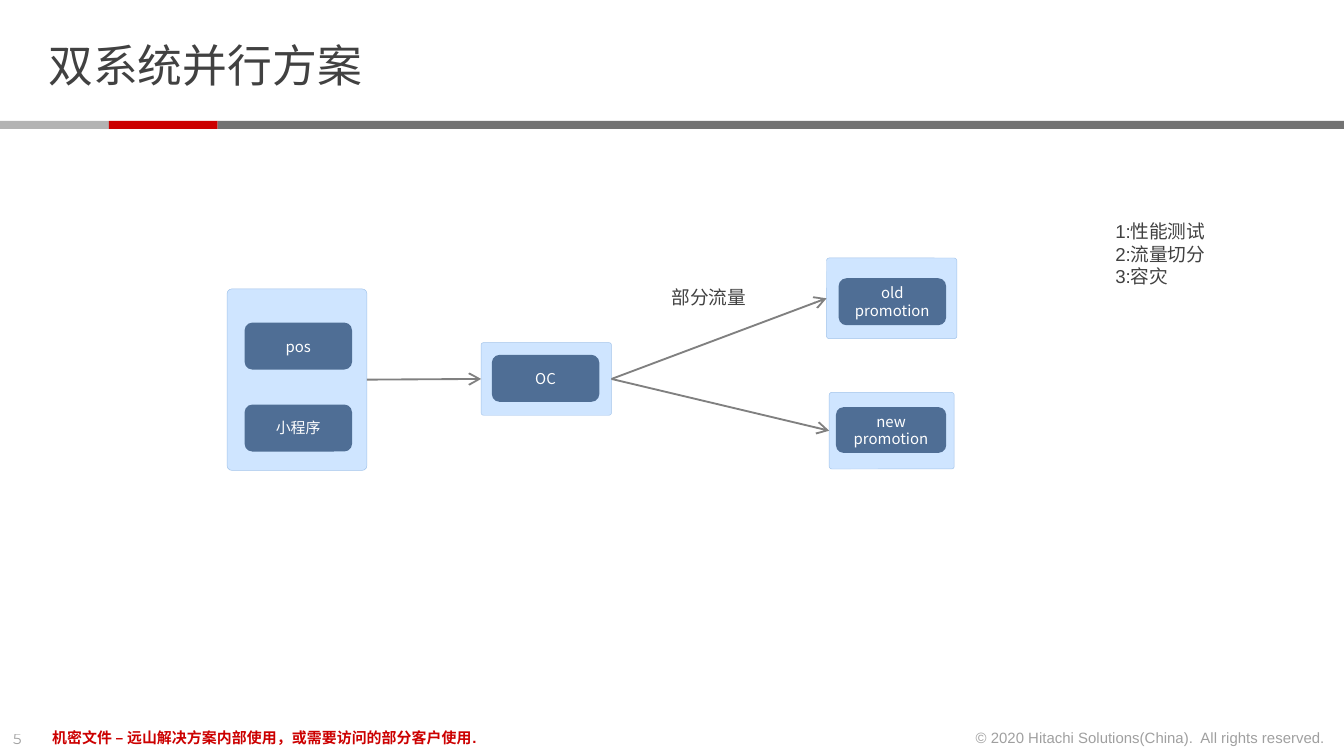
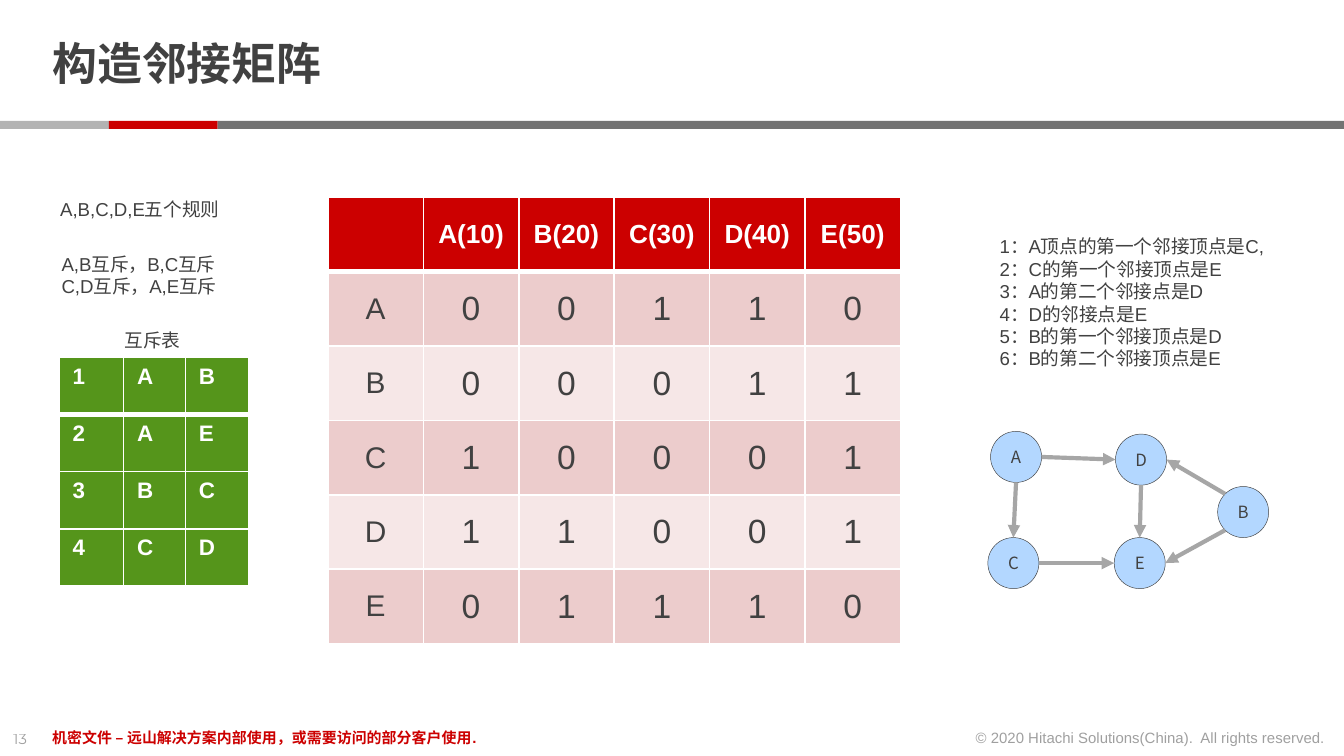
from dataclasses import dataclass

from lxml import etree
from pptx import Presentation
from pptx.dml.color import RGBColor
from pptx.enum.shapes import MSO_CONNECTOR as Connector, MSO_SHAPE as Shape
from pptx.enum.text import MSO_ANCHOR as Anchor, MSO_AUTO_SIZE as AutoSize, PP_ALIGN as Align
from pptx.oxml.ns import qn
from pptx.util import Inches, Pt


@dataclass(frozen=True)
class Theme:
    ink: str = "414141"
    white: str = "FFFFFF"
    red: str = "CC0000"
    dark_gray: str = "737373"
    light_gray: str = "B3B3B3"
    flow_gray: str = "808080"
    edge_gray: str = "A6A6A6"
    sky: str = "B3D7FF"
    panel_line: str = "A3C4EA"
    steel: str = "4F6E95"
    green: str = "55951B"
    row_tints: tuple = ("ECCCCC", "F6E7E7")
    sans: str = "Arial"
    heading: str = "Montserrat"
    label: str = "Noto Sans CJK SC"
    title_size: int = 24
    value_size: int = 18
    row_head_size: int = 16
    column_head_size: int = 14
    pair_size: int = 12
    note_size: int = 10
    node_size: int = 9
    small_size: int = 8


THEME = Theme()
PAGE_WIDTH = 10
PAGE_HEIGHT = PAGE_WIDTH * 9 / 16
CONFIDENTIAL = "机密文件 – 远山解决方案内部使用，或需要访问的部分客户使用."
COPYRIGHT = "© 2020 Hitachi Solutions(China).\u00a0 All rights reserved."
NOTE = {"size": THEME.note_size}
BOX_TEXT = {"name": THEME.label, "size": THEME.small_size, "color": THEME.white}
NODE_TEXT = {"name": THEME.label, "size": THEME.node_size}


def set_values(target, values):
    for name, value in values.items():
        setattr(target, name, value)


def set_alpha(holder, percent):
    """Make the colour found inside an XML element partly transparent."""
    color = next(holder.iter(qn("a:srgbClr")))
    etree.SubElement(color, qn("a:alpha"), val=str(percent * 1000))


def write(frame, lines, name=THEME.sans, size=THEME.small_size, color=THEME.ink,
          bold=False, alpha=None, align=Align.LEFT, spacing=None):
    for index, line in enumerate(lines):
        para = frame.add_paragraph() if index else frame.paragraphs[0]
        set_values(para, {"alignment": align, "line_spacing": spacing})
        span = para.add_run()
        span.text = line
        set_values(span.font, {"name": name, "size": Pt(size), "bold": bold})
        span.font.color.rgb = RGBColor.from_string(color)
        if alpha:
            set_alpha(span.font.fill._xPr, alpha)


def add_text(page, area, lines, wrap=False, **style):
    box = page.shapes.add_textbox(*map(Inches, area))
    box.text_frame.word_wrap = wrap
    write(box.text_frame, lines, **style)


def add_title(page, text, area, **style):
    title = page.shapes.title
    set_values(title, dict(zip(("left", "top", "width", "height"), map(Inches, area))))
    set_values(title.text_frame, {
        "auto_size": AutoSize.NONE, "vertical_anchor": Anchor.MIDDLE, "word_wrap": True,
        "margin_left": Inches(0.1), "margin_right": Inches(0.1),
        "margin_top": 0, "margin_bottom": 0})
    write(title.text_frame, [text], size=THEME.title_size, **style)


def add_shape(page, kind, area, fill, line=None):
    shape = page.shapes.add_shape(kind, *map(Inches, area))
    shape.shadow.inherit = False
    shape.fill.solid()
    shape.fill.fore_color.rgb = RGBColor.from_string(fill)
    if line:
        shape.line.color.rgb = RGBColor.from_string(line)
        shape.line.width = Pt(0.25)
    else:
        shape.line.fill.background()
    return shape


def add_label(shape, lines, margin, **style):
    sides = ("left", "top", "right", "bottom")
    set_values(shape.text_frame, {f"margin_{side}": Inches(margin) for side in sides})
    set_values(shape.text_frame, {"word_wrap": True, "vertical_anchor": Anchor.MIDDLE})
    write(shape.text_frame, lines, align=Align.CENTER, **style)


def add_panel(page, area):
    panel = add_shape(page, Shape.ROUNDED_RECTANGLE, area, THEME.sky, THEME.panel_line)
    panel.adjustments[0] = 0.034
    set_alpha(panel.fill._xPr.find(qn("a:solidFill")), 63)
    return panel


def add_box(page, area, *lines):
    box = add_shape(page, Shape.ROUNDED_RECTANGLE, area, THEME.steel)
    add_label(box, lines, 0.04, **BOX_TEXT)


def add_arrow(page, start, end, color, width, head):
    arrow = page.shapes.add_connector(
        Connector.STRAIGHT, *map(Inches, (*start, *end)))
    arrow.line.color.rgb = RGBColor.from_string(color)
    arrow.line.width = Pt(width)
    etree.SubElement(arrow.line._get_or_add_ln(), qn("a:tailEnd"), type=head)
    etree.SubElement(arrow._element.spPr, qn("a:effectLst"))
    return arrow


def add_flow(page, source, target):
    """Join the right side of one panel to the left side of the next."""
    arrow = add_arrow(page, (0, 0), (1, 1), THEME.flow_gray, 1, "arrow")
    arrow.begin_connect(source, 3)
    arrow.end_connect(target, 1)


def set_borders(cell, widths):
    properties = cell._tc.get_or_add_tcPr()
    for side, width in widths.items():
        border = etree.SubElement(properties, qn(f"a:ln{side}"), w=str(Pt(width)))
        fill = etree.SubElement(border, qn("a:solidFill"))
        etree.SubElement(fill, qn("a:srgbClr"), val=THEME.white)


def add_grid(page, left, top, widths, height, rows, cell_format):
    """cell_format(row, column) gives a fill colour, an anchor and a text style."""
    area = (left, top, sum(widths), height)
    table = page.shapes.add_table(len(rows), len(widths), *map(Inches, area)).table
    for column, width in zip(table.columns, widths):
        column.width = Inches(width)
    for row_index, values in enumerate(rows):
        for column_index, value in enumerate(values):
            cell = table.cell(row_index, column_index)
            fill, anchor, style = cell_format(row_index, column_index)
            set_borders(cell, {"L": 1, "R": 1, "T": 3 if row_index == 1 else 1,
                               "B": 1 if row_index else 3})
            cell.fill.solid()
            cell.fill.fore_color.rgb = RGBColor.from_string(fill)
            cell.vertical_anchor = anchor
            if value:
                write(cell.text_frame, [value], **style)


def matrix_format(row, column):
    style = {"align": Align.CENTER}
    if row == 0:
        style.update(size=THEME.column_head_size, color=THEME.white, bold=True)
        return THEME.red, Anchor.MIDDLE, style
    style["size"] = THEME.value_size if column else THEME.row_head_size
    return THEME.row_tints[(row - 1) % 2], Anchor.MIDDLE, style


def pair_format(row, column):
    style = {"size": THEME.pair_size, "color": THEME.white, "bold": True}
    return THEME.green, Anchor.TOP, style


def add_graph(page, nodes, edges, diameter=0.38):
    """Draw round nodes at their centres and arrows between points on their rims."""
    radius = diameter / 2
    slant = 0.71
    rim = {"top": (0, -1), "bottom": (0, 1), "left": (-1, 0), "right": (1, 0),
           "upper left": (-slant, -slant), "lower left": (-slant, slant)}

    def rim_point(name, side):
        return [center + radius * step for center, step in zip(nodes[name], rim[side])]

    for name, (x, y) in nodes.items():
        area = (x - radius, y - radius, diameter, diameter)
        node = add_shape(page, Shape.OVAL, area, THEME.sky, THEME.ink)
        add_label(node, [name], 0, **NODE_TEXT)
    for source, source_side, target, target_side in edges:
        add_arrow(page, rim_point(source, source_side), rim_point(target, target_side),
                  THEME.edge_gray, 2.25, "triangle")


def add_page(deck, number):
    page = deck.slides.add_slide(deck.slide_layouts[5])
    bands = ((0, 0.81, THEME.light_gray), (0.81, 0.81, THEME.red), (1.62, 8.38, THEME.dark_gray))
    for left, width, color in bands:
        add_shape(page, Shape.RECTANGLE, (left, 0.9, width, 0.06), color)
    add_text(page, (0, 5.38, 0.34, 0.24), [str(number)], name=THEME.heading, alpha=50)
    add_text(page, (0.29, 5.37, 6.74, 0.24), [CONFIDENTIAL], wrap=True,
             color=THEME.red, bold=True)
    add_text(page, (7.12, 5.37, 2.84, 0.24), [COPYRIGHT], alpha=50, align=Align.RIGHT)
    return page


def build_parallel_page(deck):
    page = add_page(deck, 5)
    add_title(page, "双系统并行方案", (0.26, 0.23, 2.56, 0.5))

    clients = add_panel(page, (1.69, 2.15, 1.04, 1.35))
    order_center = add_panel(page, (3.58, 2.55, 0.97, 0.54))
    old_system = add_panel(page, (6.15, 1.92, 0.97, 0.6))
    new_system = add_panel(page, (6.17, 2.92, 0.93, 0.57))
    add_flow(page, clients, order_center)
    for system in (old_system, new_system):
        add_flow(page, order_center, system)

    add_box(page, (1.82, 2.4, 0.8, 0.35), "pos")
    add_box(page, (1.82, 3.01, 0.8, 0.35), "小程序")
    add_box(page, (3.66, 2.64, 0.8, 0.35), "OC")
    add_box(page, (6.24, 2.07, 0.8, 0.35), "old promotion")
    add_box(page, (6.22, 3.03, 0.82, 0.34), "new", "promotion")

    add_text(page, (4.9, 2.08, 0.76, 0.27), ["部分流量"], **NOTE)
    add_text(page, (8.2, 1.59, 0.88, 0.77), ["1:性能测试", "2:流量切分", "3:容灾"],
             wrap=True, **NOTE)


def build_matrix_page(deck):
    page = add_page(deck, 13)
    add_title(page, "构造邻接矩阵", (0.29, 0.13, 7.71, 0.73),
              name=THEME.heading, bold=True, spacing=0.85)

    add_text(page, (0.35, 1.42, 1.47, 0.27), ["A,B,C,D,E五个规则"], **NOTE)
    add_text(page, (0.36, 1.83, 1.46, 0.44), ["A,B互斥，B,C互斥", "C,D互斥，A,E互斥"], **NOTE)
    add_text(page, (0.83, 2.4, 0.62, 0.27), ["互斥表"], **NOTE)

    add_grid(page, 0.44, 2.66, (0.48, 0.46, 0.47), 1.7,
             ("1AB", "2AE", "3BC", "4CD"), pair_format)
    matrix = [["", "A(10)", "B(20)", "C(30)", "D(40)", "E(50)"],
              *("A00110", "B00011", "C10001", "D11001", "E01110")]
    add_grid(page, 2.44, 1.47, [0.71] * 6, 3.32, matrix, matrix_format)

    steps = ("A顶点的第一个邻接顶点是C,", "C的第一个邻接顶点是E", "A的第二个邻接点是D",
             "D的邻接点是E", "B的第一个邻接顶点是D", "B的第二个邻接顶点是E")
    add_text(page, (7.34, 1.7, 2.2, 1.28),
             [f"{number}：{step}" for number, step in enumerate(steps, 1)], wrap=True, **NOTE)

    nodes = {"A": (7.56, 3.4), "C": (7.54, 4.19), "E": (8.48, 4.19),
             "D": (8.49, 3.42), "B": (9.25, 3.81)}
    edges = (("A", "bottom", "C", "top"), ("C", "right", "E", "left"),
             ("A", "right", "D", "left"), ("D", "bottom", "E", "top"),
             ("B", "upper left", "D", "right"), ("B", "lower left", "E", "right"))
    add_graph(page, nodes, edges)


def main():
    deck = Presentation()
    deck.slide_width, deck.slide_height = Inches(PAGE_WIDTH), Inches(PAGE_HEIGHT)
    build_parallel_page(deck)
    build_matrix_page(deck)
    deck.save("out.pptx")


if __name__ == "__main__":
    main()
